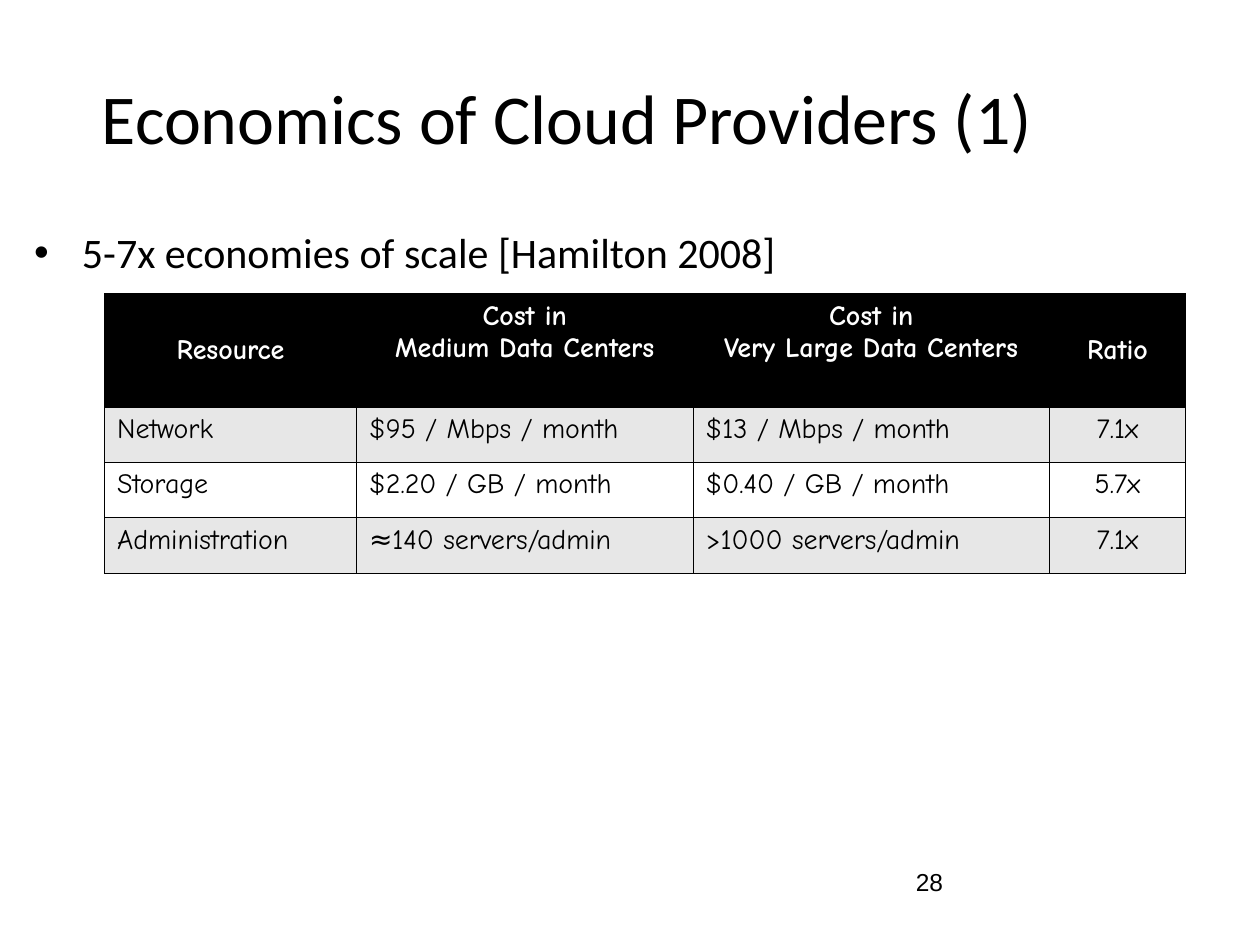
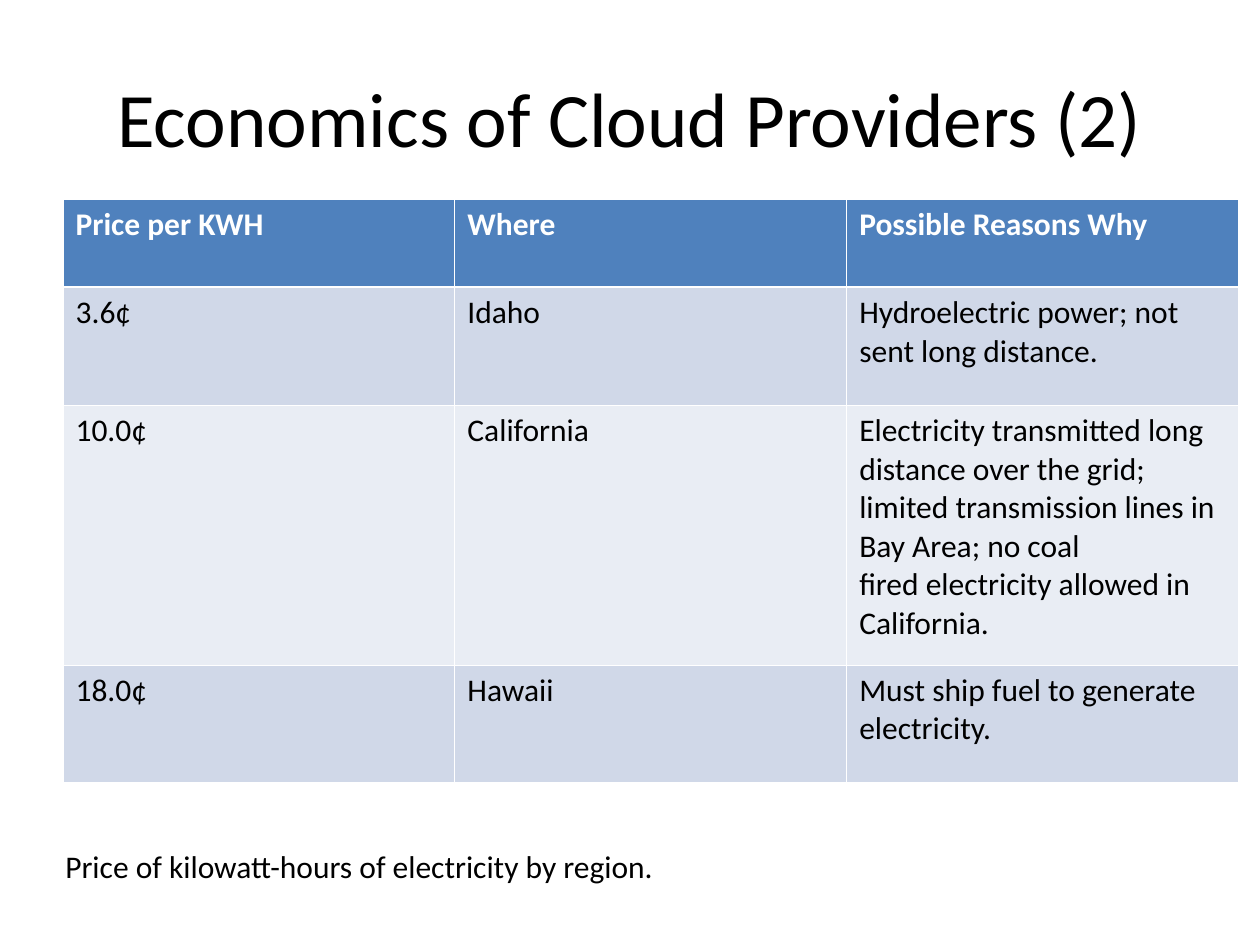
from pptx import Presentation
from pptx.dml.color import RGBColor
from pptx.enum.text import MSO_ANCHOR, MSO_AUTO_SIZE, PP_ALIGN
from pptx.oxml.ns import qn
from pptx.util import Inches, Pt
from lxml.etree import SubElement

# Shared look
FONT = "Calibri"
BLACK, WHITE = "000000", "FFFFFF"
THIN, THICK = 0.45, 1.47
TOP, MID = MSO_ANCHOR.TOP, MSO_ANCHOR.MIDDLE
LEFT, CENTER = PP_ALIGN.LEFT, PP_ALIGN.CENTER

# Table looks: font, size, header fill, row fills, line colour, header line
MONO = dict(font="Comic Neue", size=16, head=BLACK,
            bands=("E7E7E7", WHITE), line=BLACK, rule=THIN)
BLUE = dict(font=FONT, size=18, head="4F81BD",
            bands=("D0D8E8", "E9EDF4"), line=WHITE, rule=THICK)

COSTS = [
    ["Resource", "Cost in\nMedium Data Centers",
     "Cost in\nVery Large Data Centers", "Ratio"],
    ["Network", "$95 / Mbps / month", "$13 / Mbps / month", "7.1x"],
    ["Storage", "$2.20 / GB / month", "$0.40 / GB / month", "5.7x"],
    ["Administration", "≈140 servers/admin", ">1000 servers/admin", "7.1x"],
]
PRICES = [
    ["Price per KWH", "Where", "Possible Reasons Why"],
    ["3.6¢", "Idaho", "Hydroelectric power; not sent long distance."],
    ["10.0¢", "California",
     "Electricity transmitted long distance over the grid;\n"
     "limited transmission lines in Bay Area; no coal\n"
     "fired electricity allowed in California."],
    ["18.0¢", "Hawaii", "Must ship fuel to generate electricity."],
]


def color(code):
    return RGBColor.from_string(code)


def write(frame, text, size, font=FONT, tint=BLACK, bold=False, align=LEFT):
    """Fill a text frame, one paragraph for each line."""
    for num, line in enumerate(text.split("\n")):
        para = frame.add_paragraph() if num else frame.paragraphs[0]
        para.alignment = align
        run = para.add_run()
        run.text = line
        run.font.name = font
        run.font.size = Pt(size)
        run.font.bold = bold
        run.font.color.rgb = color(tint)


def place(shape, box):
    shape.left, shape.top, shape.width, shape.height = map(Inches, box)


def add_title(slide, text, box, size):
    title = slide.shapes.title
    place(title, box)
    title.text_frame.auto_size = MSO_AUTO_SIZE.NONE
    title.text_frame.vertical_anchor = MID
    write(title.text_frame, text, size, align=CENTER)


def add_list(slide, text, box):
    body = slide.placeholders[1]
    place(body, box)
    frame = body.text_frame
    frame.auto_size = MSO_AUTO_SIZE.NONE
    write(frame, text, 24)
    for para in frame.paragraphs:
        para.space_before = Pt(6)
        props = para._p.get_or_add_pPr()
        props.set("marL", str(Inches(0.38)))
        props.set("indent", str(-Inches(0.38)))
        SubElement(props, qn("a:buChar"), char="•")


def add_note(slide, text, box, size, font=FONT):
    note = slide.shapes.add_textbox(*map(Inches, box))
    note.text_frame.word_wrap = True
    write(note.text_frame, text, size, font)


def edge(cell, side, tint, width):
    line = SubElement(cell._tc.get_or_add_tcPr(), qn("a:ln" + side),
                      w=str(Pt(width)))
    fill = SubElement(line, qn("a:solidFill"))
    SubElement(fill, qn("a:srgbClr"), val=tint)


def add_grid(slide, data, spot, cols, rows, look, mids=(), heads=()):
    """Draw a table; mids are centred columns, heads centred header cells."""
    box = (*spot, sum(cols), sum(rows))
    grid = slide.shapes.add_table(len(rows), len(cols),
                                  *map(Inches, box)).table
    for col, width in zip(grid.columns, cols):
        col.width = Inches(width)
    for row, height in zip(grid.rows, rows):
        row.height = Inches(height)
    for r, line in enumerate(data):
        top = r == 0
        for c, text in enumerate(line):
            cell = grid.cell(r, c)
            cell.vertical_anchor = MID if top and c in heads else TOP
            align = CENTER if c in mids or (top and look is MONO) else LEFT
            write(cell.text_frame, text, look["size"], look["font"],
                  WHITE if top else BLACK, top, align)
            # Lines come before the fill in the cell properties
            rules = dict(L=THIN, R=THIN, T=look["rule"] if r == 1 else THIN,
                         B=look["rule"] if top else THIN)
            for side, width in rules.items():
                edge(cell, side, look["line"], width)
            cell.fill.solid()
            cell.fill.fore_color.rgb = color(
                look["head"] if top else look["bands"][(r - 1) % 2])


def scale_slide(deck):
    slide = deck.slides.add_slide(deck.slide_layouts[1])
    add_title(slide, "Economics of Cloud Providers (1)", (0, 0.3, 9, 1.25), 40)
    add_list(slide, "5-7x economies of scale [Hamilton 2008]",
             (0.17, 1.75, 9, 4.95))
    add_grid(slide, COSTS, (0.83, 2.33), (2, 2.67, 2.83, 1.08),
             (0.9, 0.44, 0.44, 0.44), MONO, mids=(3,), heads=(0, 3))
    add_note(slide, "28", (7.17, 6.83, 2.33, 0.52), 14, "Arial")


def price_slide(deck):
    slide = deck.slides.add_slide(deck.slide_layouts[5])
    add_title(slide, "Economics of Cloud Providers (2)",
              (0.5, 0.3, 9, 1.25), 44)
    add_grid(slide, PRICES, (0.5, 1.58), (3.11,) * 3,
             (0.7, 0.94, 2.06, 0.93), BLUE)
    add_note(slide, "Price of kilowatt-hours of electricity by region.",
             (0.42, 6.67, 9.33, 0.4), 18)


def main():
    deck = Presentation()
    deck.slide_width, deck.slide_height = Inches(10), Inches(7.5)
    scale_slide(deck)
    price_slide(deck)
    deck.save("out.pptx")


if __name__ == "__main__":
    main()
